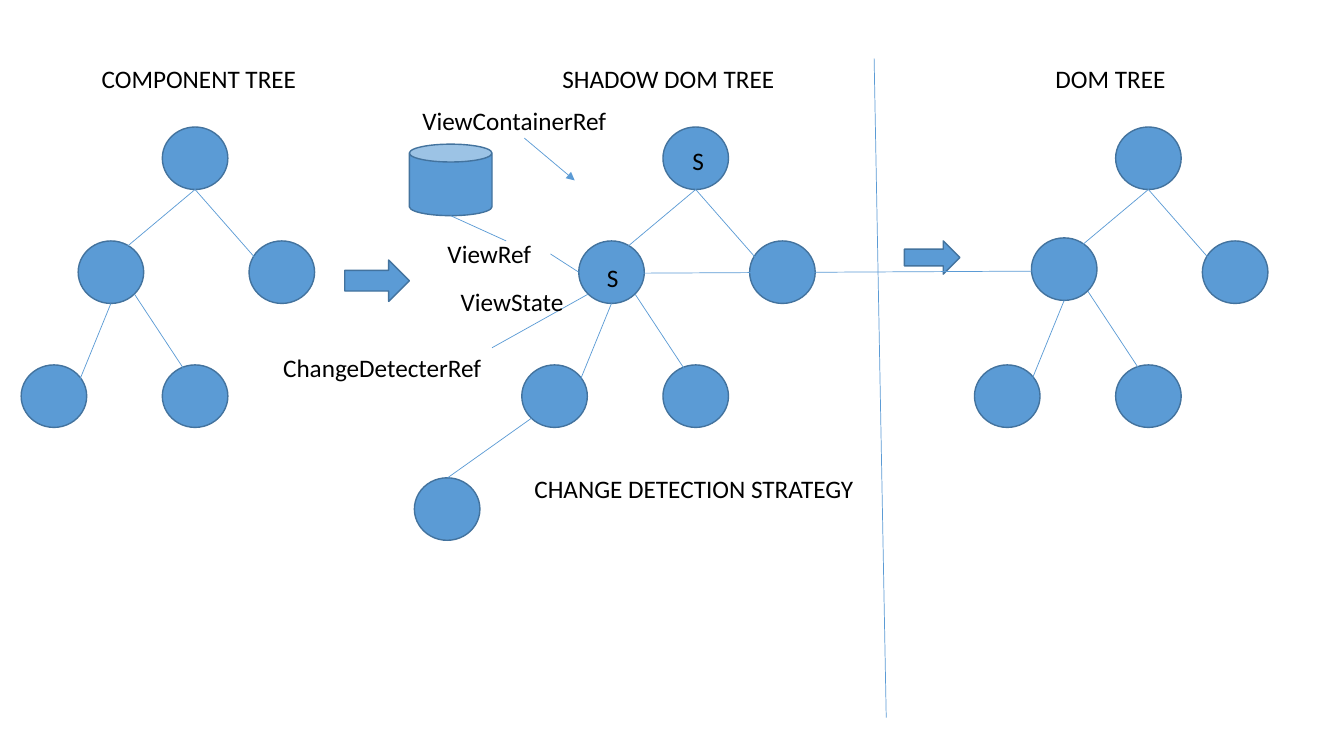
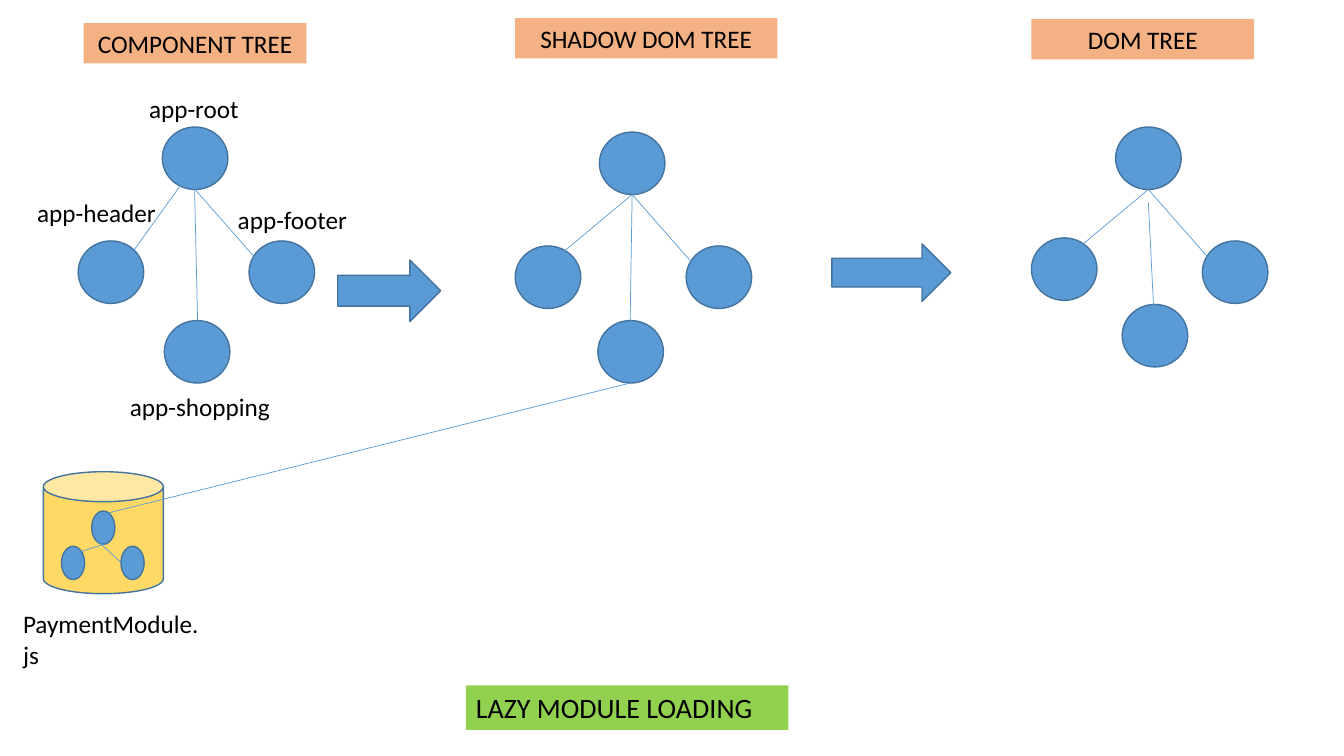
from lxml.etree import SubElement
from pptx import Presentation
from pptx.dml.color import RGBColor as RGB
from pptx.enum.shapes import MSO_CONNECTOR as Link, MSO_SHAPE as Kind
from pptx.enum.text import MSO_ANCHOR as Anchor, MSO_AUTO_SIZE as Fit, PP_ALIGN as Align
from pptx.oxml.ns import qn
from pptx.util import Inches, Pt

HUES = {"blue": "5B9BD5", "edge": "43739E", "gold": "FFD966",
        "peach": "F4B183", "green": "92D050", "ink": "000000"}
FONT = "Calibri"

deck = Presentation()
deck.slide_width, deck.slide_height = Inches(13.33), Inches(7.5)
CELL = deck.slide_height / 75  # square grid, 75 rows high
DOT = (6.5, 6.2)
SMALL = (2.3, 3.3)
ROW = 4  # height of a one-line label


def grid(*cells):
    """Turn grid cells into slide lengths."""
    return [round(n * CELL) for n in cells]


def dress(frame, size, align=Align.LEFT):
    frame.word_wrap, frame.auto_size = True, Fit.NONE
    para = frame.paragraphs[0]
    para.alignment = align
    para.font.name, para.font.size = FONT, Pt(size)
    para.font.color.rgb = RGB.from_string(HUES["ink"])


# Trees: root centre x, y, then the rise of the left branch.
# Nodes and links are offsets from the root's centre; True marks the left branch.
deep = {
    "nodes": [(0, 0, False), (-8.35, 11.3, True), (8.6, 11.3, False),
              (-14, 23.6, False), (0, 23.6, False)],
    "links": [(0, 3.1, -8.35, 10.1, False), (0, 3.1, 7.2, 11.3, False),
              (-8.35, 14.4, -12.1, 23.6, True), (-6, 13.5, -0.2, 22.3, True)],
}
flat = {"nodes": deep["nodes"][:3], "links": deep["links"][1:2]}

pages = [
    {
        "title": ("CHANGE DETECTION STRATEGY", 52, 46.5, 41.2, ROW, 18, None),
        "tree": deep,
        "roots": [(19.35, 15.7, 0), (113.9, 15.7, 0.3), (69, 15.7, 0)],
        "shapes": [
            (Kind.CAN, 40.6, 14.3, 8.2, 7.1, "blue"),
            (Kind.OVAL, 41.1, 47.4, *DOT, "blue"),
            (Kind.RIGHT_ARROW, 34.2, 25.8, 6.4, 4.1, "blue"),
            (Kind.RIGHT_ARROW, 89.7, 23.9, 5.5, 3.3, "blue"),
        ],
        "lines": [
            (54.6, 25.2, 57.4, 27), (63.7, 27.1, 102.5, 26.9),
            (50.2, 23.9, 44.7, 21.4), (48.8, 34.5, 58.3, 29.2),
            (52.7, 41.5, 44.4, 47.4), (86.7, 5.8, 87.9, 71.2),
        ],
        "arrows": [(52, 13.7, 57, 17.9)],
        "heads": [("COMPONENT TREE", 9.1, 5.8, 22.1), ("DOM TREE", 103.7, 5.8, 22.1),
                  ("SHADOW DOM TREE", 54.8, 5.8, 26)],
        "band": None,
        "align": Align.LEFT,
        "notes": [
            ("ViewContainerRef", 40.9, 10, 28.3), ("ViewRef", 43.4, 23.2, 11.3),
            ("ViewState", 44.7, 27.9, 13.1), ("ChangeDetecterRef", 27.1, 34.5, 23),
            ("S", 59.2, 25.5, 4), ("S", 67.7, 13.9, 4),
        ],
    },
    {
        "title": ("LAZY MODULE LOADING", 46.2, 68, 32, 4.4, 20, "green"),
        "tree": flat,
        "roots": [(19.35, 15.7, 0), (113.9, 15.7, 0.3), (62.7, 16.2, 0)],
        "shapes": [
            (Kind.CAN, 4.3, 46.8, 11.9, 12.1, "gold"),
            (Kind.OVAL, 16.3, 31.8, *DOT, "blue"),
            (Kind.OVAL, 111.3, 30.2, *DOT, "blue"),
            (Kind.OVAL, 59.3, 31.8, *DOT, "blue"),
            (Kind.OVAL, 12, 54.2, *SMALL, "blue"),
            (Kind.OVAL, 6.1, 54.2, *SMALL, "blue"),
            (Kind.OVAL, 9.1, 50.7, *SMALL, "blue"),
            (Kind.RIGHT_ARROW, 33.5, 25.8, 10.2, 6.1, "blue"),
            (Kind.RIGHT_ARROW, 82.5, 24.2, 11.8, 5.7, "blue"),
        ],
        "lines": [
            (18.9, 17, 13.3, 24.8), (19.3, 18.8, 19.6, 31.8),
            (113.9, 18.8, 105.5, 25.8), (113.9, 20.1, 114.7, 36.2),
            (62.7, 19.3, 54.3, 26.3), (62.7, 19.3, 62.5, 31.8),
            (10.3, 54, 8.1, 54.7), (9.5, 53.5, 12, 55.8),
            (62.5, 38, 9.5, 51.2),
        ],
        "arrows": [],
        "heads": [("COMPONENT TREE", 8.3, 2.3, 22.1), ("DOM TREE", 102.3, 1.9, 22.1),
                  ("SHADOW DOM TREE", 51.1, 1.8, 26)],
        "band": "peach",
        "align": Align.CENTER,
        "notes": [
            ("PaymentModule.js", 1.3, 59.9, 19.5), ("app-root", 13.8, 8.8, 13),
            ("app-header", 2.7, 19.1, 16), ("app-footer", 22.6, 19.8, 16),
            ("app-shopping", 11.9, 38.3, 18),
        ],
    },
]

for page in pages:
    slide = deck.slides.add_slide(deck.slide_layouts[5])
    pool = slide.shapes

    words, *box, size, tint = page["title"]
    title = pool.title
    title.left, title.top, title.width, title.height = grid(*box)
    title.text_frame.text = words
    title.text_frame.vertical_anchor = Anchor.MIDDLE
    dress(title.text_frame, size)
    if tint:
        title.fill.solid()
        title.fill.fore_color.rgb = RGB.from_string(HUES[tint])

    forms, lines = list(page["shapes"]), list(page["lines"])
    for x, y, rise in page["roots"]:
        for dx, dy, lift in page["tree"]["nodes"]:
            top = y + dy - rise * lift
            forms.append((Kind.OVAL, x + dx - DOT[0] / 2, top - DOT[1] / 2, *DOT, "blue"))
        for ax, ay, bx, by, lift in page["tree"]["links"]:
            up = y - rise * lift
            lines.append((x + ax, up + ay, x + bx, up + by))

    for kind, *box, tint in forms:
        form = pool.add_shape(kind, *grid(*box))
        form.shadow.inherit = False
        form.fill.solid()
        form.fill.fore_color.rgb = RGB.from_string(HUES[tint])
        form.line.color.rgb = RGB.from_string(HUES["edge"])
        form.line.width = Pt(1)

    for ends in lines + page["arrows"]:
        line = pool.add_connector(Link.STRAIGHT, *grid(*ends))
        line.line.color.rgb = RGB.from_string(HUES["blue"])
        line.line.width = Pt(0.5)
        if ends in page["arrows"]:
            SubElement(line.line._get_or_add_ln(), qn("a:tailEnd"), type="triangle")
        SubElement(line._element.spPr, qn("a:effectLst"))

    for words, x, y, wide in page["heads"] + page["notes"]:
        label = pool.add_textbox(*grid(x, y, wide, ROW))
        label.text_frame.text = words
        head = (words, x, y, wide) in page["heads"]
        dress(label.text_frame, 18, page["align"] if head else Align.LEFT)
        if head and page["band"]:
            label.fill.solid()
            label.fill.fore_color.rgb = RGB.from_string(HUES[page["band"]])

deck.save("out.pptx")
